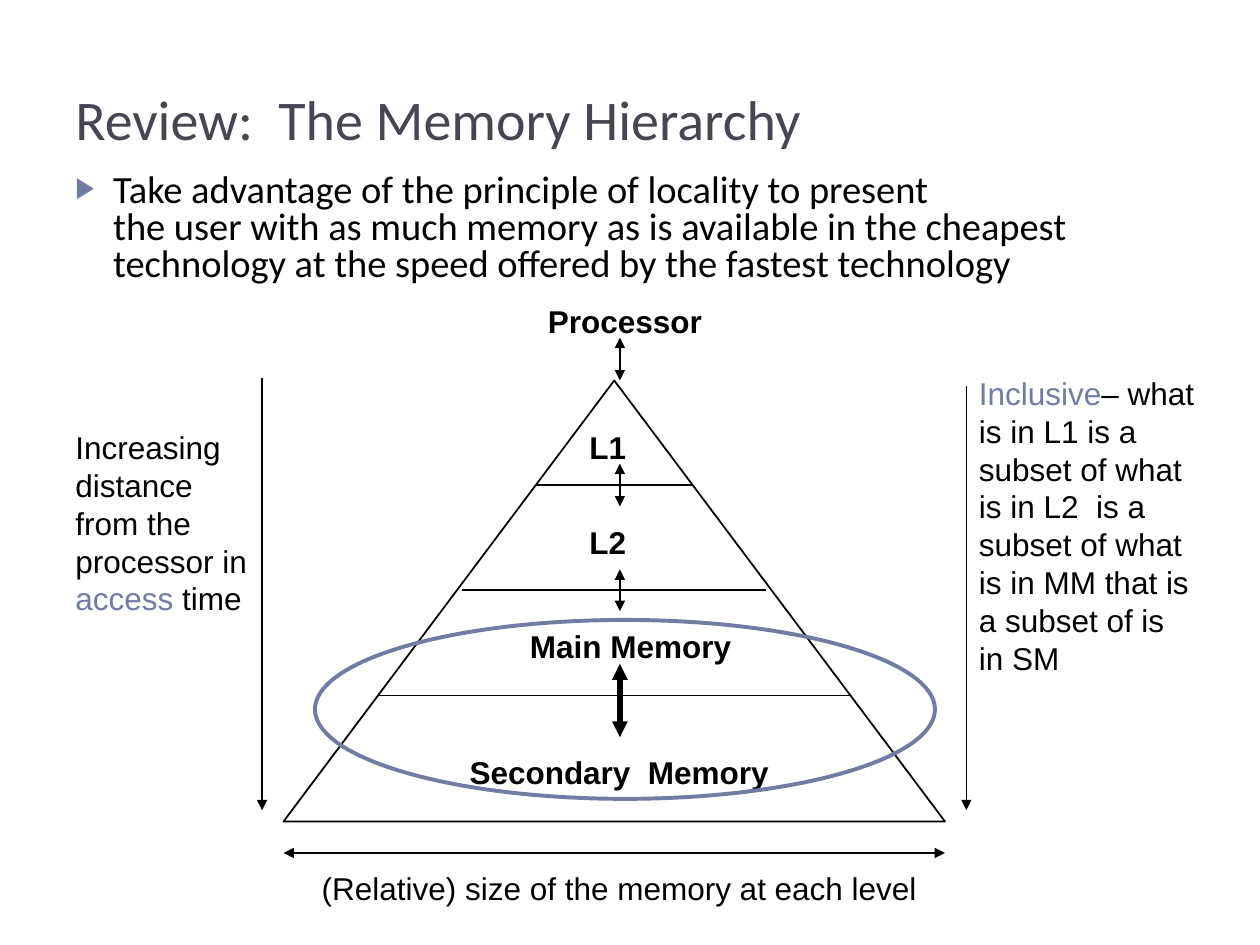
"""Build the memory hierarchy review slide."""
from lxml import etree
from pptx import Presentation
from pptx.dml.color import RGBColor
from pptx.enum.shapes import MSO_CONNECTOR, MSO_SHAPE
from pptx.enum.text import MSO_ANCHOR, PP_ALIGN
from pptx.oxml.ns import qn
from pptx.util import Inches, Pt

LINE = MSO_CONNECTOR.STRAIGHT
TRIANGLE, OVAL = MSO_SHAPE.ISOSCELES_TRIANGLE, MSO_SHAPE.OVAL
LEFT, CENTER = PP_ALIGN.LEFT, PP_ALIGN.CENTER
TOP, BOTTOM = MSO_ANCHOR.TOP, MSO_ANCHOR.BOTTOM
BLACK, BLUE, SLATE = "000000", "727CA3", "464653"

TITLE = "Review:  The Memory Hierarchy"
POINT = (
    "Take advantage of the principle of locality to present\v"
    "the user with as much memory as is available in the cheapest "
    "technology at the speed offered by the fastest technology"
)
LABELS = [
    ("Processor", (4.25, 2.35, 1.42, 0.4), LEFT),
    ("L1", (4.58, 3.35, 0.92, 0.4), LEFT),
    ("L2", (4.58, 4.1, 0.92, 0.4), LEFT),
    ("Main Memory", (3.67, 4.93, 2.67, 0.4), CENTER),
    ("Secondary  Memory", (3.25, 5.93, 3.33, 0.4), CENTER),
]
NOTES = [
    ([("Increasing distance from the processor in ", BLACK),
      ("access", BLUE), (" time", BLACK)], (0.5, 3.35, 1.58, 1.6), LEFT),
    ([("(Relative) size of the memory at each level", BLACK)],
     (2.33, 6.85, 5.17, 0.4), CENTER),
    ([("Inclusive", BLUE),
      ("– what is in L1 is a subset of what is in L2  is a subset of what "
       "is in MM that is a subset of is in SM", BLACK)],
     (7.67, 2.92, 1.92, 2.5), LEFT),
]
PYRAMID = (2.25, 3.02, 5.25, 3.5)
RING = (2.5, 4.92, 4.92, 1.42)
LEVELS = [(4.25, 5.5, 3.85), (3.67, 6.08, 4.68), (3, 6.75, 5.52)]
SCALES = [(2.08, 3, 6.43), (7.67, 3.06, 6.43)]
AXIS = 4.92
LINKS = [(2.68, 3.02, 1), (3.68, 4.02, 1.5), (4.52, 4.85, 1.5), (5.27, 5.85, 3)]


def color(code):
    return RGBColor.from_string(code)


def add_text(slide, runs, box, size=18, font="Arial", bold=False,
             align=LEFT, anchor=TOP, wrap=True):
    frame = slide.shapes.add_textbox(*map(Inches, box)).text_frame
    frame.word_wrap = wrap
    frame.vertical_anchor = anchor
    para = frame.paragraphs[0]
    para.alignment = align
    if len(runs) == 1:
        para.text = runs[0][0]
    else:
        for words, _ in runs:
            para.add_run().text = words
    shades = [shade for _, shade in runs]
    for i, run in enumerate(para.runs):
        run.font.size, run.font.name, run.font.bold = Pt(size), font, bold
        run.font.color.rgb = color(shades[min(i, len(shades) - 1)])
    return para


def add_bullet(para):
    props = para._p.get_or_add_pPr()
    props.set("marL", str(Inches(0.3)))
    props.set("indent", str(Inches(-0.3)))
    tint = etree.SubElement(props, qn("a:buClr"))
    etree.SubElement(tint, qn("a:srgbClr"), val=BLUE)
    etree.SubElement(props, qn("a:buSzPct"), val="76000")
    etree.SubElement(props, qn("a:buFont"), typeface="Arial")
    etree.SubElement(props, qn("a:buChar"), char="▶")
    para.line_spacing = 0.8


def add_line(slide, start, end, width=1, heads=()):
    line = slide.shapes.add_connector(LINE, *map(Inches, start + end))
    line.line.color.rgb = color(BLACK)
    line.line.width = Pt(width)
    props = line._element.spPr
    for head in heads:
        etree.SubElement(props.find(qn("a:ln")), qn(head), type="triangle")
    etree.SubElement(props, qn("a:effectLst"))


def add_shape(slide, kind, box, shade, width):
    shape = slide.shapes.add_shape(kind, *map(Inches, box))
    shape.shadow.inherit = False
    shape.fill.background()
    shape.line.color.rgb = color(shade)
    shape.line.width = Pt(width)


def main():
    deck = Presentation()
    deck.slide_width, deck.slide_height = Inches(10), Inches(7.5)
    slide = deck.slides.add_slide(deck.slide_layouts[6])
    one, both = ["a:tailEnd"], ["a:headEnd", "a:tailEnd"]

    add_text(slide, [(TITLE, SLATE)], (0.5, 0.17, 9, 1.08), 32, "Calibri",
             anchor=BOTTOM)
    add_bullet(add_text(slide, [(POINT, BLACK)], (0.5, 1.33, 9, 1), 22, "Calibri"))
    add_shape(slide, TRIANGLE, PYRAMID, BLACK, 1)
    for left, right, y in LEVELS:
        add_line(slide, (left, y), (right, y))
    for words, box, align in LABELS:
        add_text(slide, [(words, BLACK)], box, bold=True, align=align,
                 wrap=words != "Processor")
    for runs, box, align in NOTES:
        add_text(slide, runs, box, align=align)
    for x, top, low in SCALES:
        add_line(slide, (x, top), (x, low), heads=one)
    left, _, width, _ = PYRAMID
    add_line(slide, (left, 6.77), (left + width, 6.77), heads=both)
    for top, low, weight in LINKS:
        add_line(slide, (AXIS, top), (AXIS, low), weight, both)
    add_shape(slide, OVAL, RING, BLUE, 2.25)
    deck.save("out.pptx")


if __name__ == "__main__":
    main()
